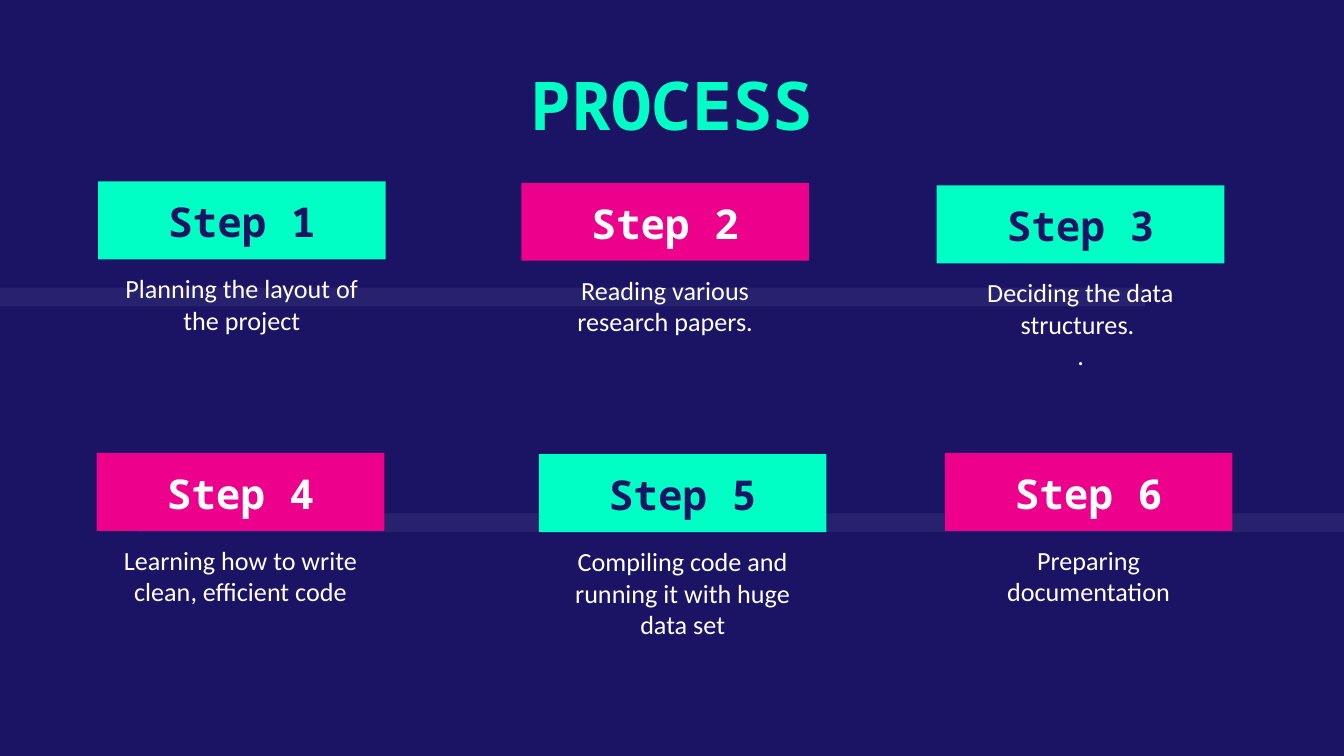
"""Build the six-step process slide."""
from dataclasses import dataclass

from lxml.etree import SubElement
from pptx import Presentation
from pptx.dml.color import RGBColor
from pptx.enum.shapes import MSO_SHAPE as Preset
from pptx.enum.text import MSO_ANCHOR as Anchor, PP_ALIGN as Align
from pptx.oxml.ns import qn
from pptx.shapes.autoshape import Shape
from pptx.slide import Slide
from pptx.util import Inches, Pt


@dataclass(frozen=True)
class Theme:
    navy: RGBColor = RGBColor(0x1B, 0x14, 0x64)
    mint: RGBColor = RGBColor(0x00, 0xFF, 0xC5)
    pink: RGBColor = RGBColor(0xEC, 0x00, 0x8C)
    white: RGBColor = RGBColor(0xFF, 0xFF, 0xFF)
    heading_font: str = "Noto Sans Mono"
    body_font: str = "Calibri"
    title_size: int = 36
    label_size: int = 22
    body_size: int = 14
    band_opacity: int = 6


@dataclass(frozen=True)
class Band:
    left: float
    top: float
    width: float


@dataclass(frozen=True)
class Step:
    left: float
    top: float
    fill: RGBColor
    ink: RGBColor
    description: str


THEME = Theme()
MINT = (THEME.mint, THEME.navy)
PINK = (THEME.pink, THEME.white)
SLIDE_WIDTH = Inches(10)
SLIDE_HEIGHT = SLIDE_WIDTH * 9 // 16
BAND_HEIGHT = 0.14
LABEL_WIDTH, LABEL_HEIGHT = 2.14, 0.58
BODY_WIDTH, BODY_HEIGHT = 2.07, 0.73

BANDS = [Band(0, 2.14, 8.52), Band(1.02, 3.82, 8.98)]
STEPS = [
    Step(0.73, 1.35, *MINT, "Planning the layout of the project"),
    Step(3.88, 1.36, *PINK, "Reading various research papers."),
    Step(6.97, 1.38, *MINT, "Deciding the data structures. \n."),
    Step(0.72, 3.37, *PINK, "Learning how to write clean, efficient code"),
    Step(4.01, 3.38, *MINT, "Compiling code and running it with huge data set"),
    Step(7.03, 3.37, *PINK, "Preparing documentation"),
]


def write(holder: Shape, text: str, font_name: str, size: int, color: RGBColor,
          bold: bool = False, anchor: Anchor = Anchor.TOP) -> None:
    """Fill a shape with centred, wrapped text."""
    frame = holder.text_frame
    frame.text = text
    frame.word_wrap = True
    frame.vertical_anchor = anchor
    frame.margin_left = frame.margin_right = Inches(0.1)
    frame.margin_top = frame.margin_bottom = Inches(0.1)
    for paragraph in frame.paragraphs:
        paragraph.alignment = Align.CENTER
        font = paragraph.font
        font.name, font.size, font.bold = font_name, Pt(size), bold
        font.color.rgb = color


def add_block(slide: Slide, left: float, top: float, width: float,
              height: float, fill: RGBColor) -> Shape:
    """Add a flat rectangle without an outline."""
    block = slide.shapes.add_shape(
        Preset.RECTANGLE, Inches(left), Inches(top), Inches(width), Inches(height))
    block.shadow.inherit = False
    block.fill.solid()
    block.fill.fore_color.rgb = fill
    block.line.fill.background()
    return block


def add_band(slide: Slide, band: Band) -> None:
    """Add a translucent background band."""
    block = add_block(slide, band.left, band.top, band.width, BAND_HEIGHT, THEME.white)
    color = block.fill._xPr.find(qn("a:solidFill")).find(qn("a:srgbClr"))
    SubElement(color, qn("a:alpha"), val=str(THEME.band_opacity * 1000))


def add_step(slide: Slide, number: int, step: Step) -> None:
    """Add a step label with its description below."""
    label = add_block(slide, step.left, step.top, LABEL_WIDTH, LABEL_HEIGHT, step.fill)
    write(label, f"Step {number}", THEME.heading_font, THEME.label_size, step.ink,
          bold=True, anchor=Anchor.BOTTOM)
    body_left = step.left + (LABEL_WIDTH - BODY_WIDTH) / 2
    body = slide.shapes.add_textbox(
        Inches(body_left), Inches(step.top + LABEL_HEIGHT),
        Inches(BODY_WIDTH), Inches(BODY_HEIGHT))
    write(body, step.description, THEME.body_font, THEME.body_size, THEME.white)


def add_title(slide: Slide, text: str) -> None:
    """Place and format the slide title."""
    title = slide.shapes.title
    title.left, title.top = Inches(1.4), Inches(0.37)
    title.width, title.height = Inches(7.2), Inches(0.73)
    write(title, text, THEME.heading_font, THEME.title_size, THEME.mint, bold=True)


def main() -> None:
    """Build and save the presentation."""
    deck = Presentation()
    deck.slide_width, deck.slide_height = SLIDE_WIDTH, SLIDE_HEIGHT
    slide = deck.slides.add_slide(deck.slide_layouts[5])
    slide.background.fill.solid()
    slide.background.fill.fore_color.rgb = THEME.navy
    for band in BANDS:
        add_band(slide, band)
    add_title(slide, "PROCESS")
    for number, step in enumerate(STEPS, start=1):
        add_step(slide, number, step)
    deck.save("out.pptx")


if __name__ == "__main__":
    main()
